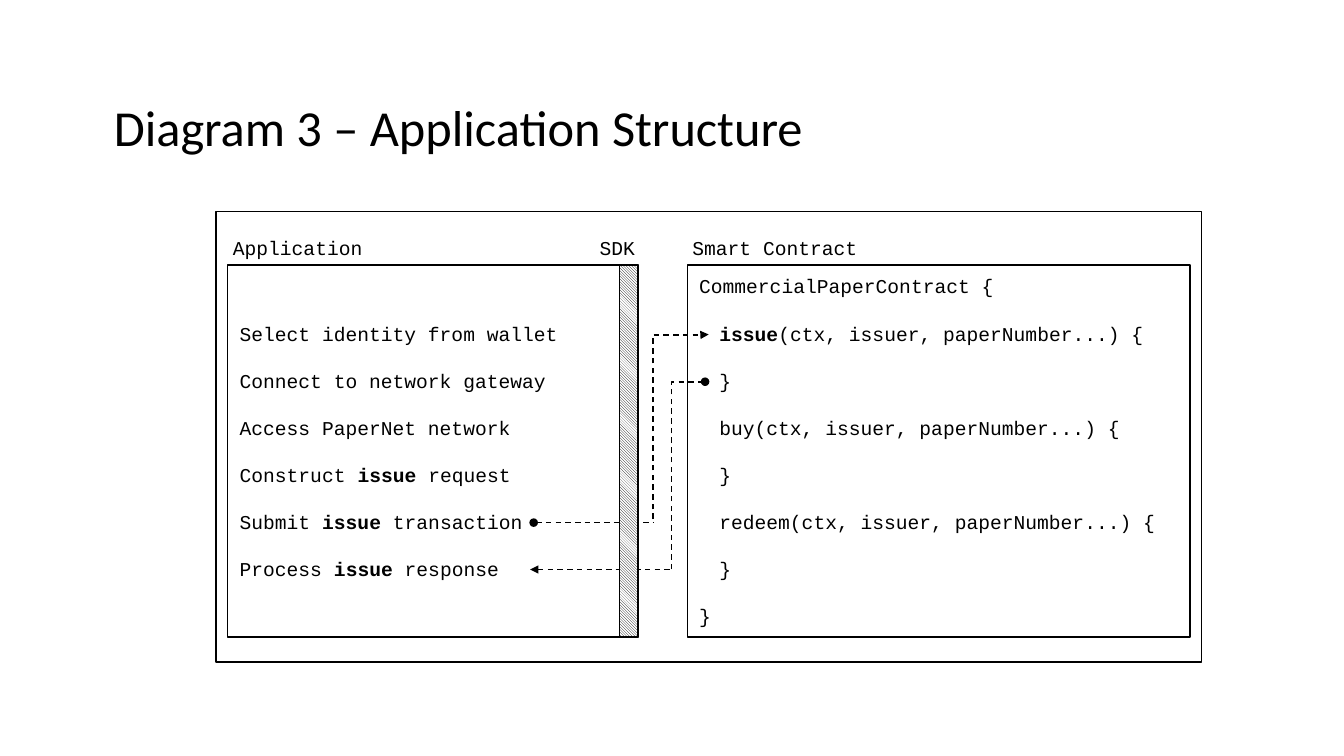
from dataclasses import dataclass
from typing import Optional

from lxml import etree
from pptx import Presentation
from pptx.dml.color import RGBColor
from pptx.enum import dml, shapes, text
from pptx.oxml.ns import qn
from pptx.util import Cm, Pt

COLOURS = {"ink": "000000", "paper": "FFFFFF"}
CODE_FONT = "Courier New"
INSET = 0.13
PANEL_INSET = 0.3
PANEL_TOP, PANEL_HEIGHT = 6.68, 9.37
LABEL_TOP, LABEL_HEIGHT = 5.82, 0.86
STEP_GAP = Pt(16.85)
METHOD_INDENT = 0.51


@dataclass(frozen=True)
class Line:
    """One line of a panel; the word in bold splits it into runs."""
    words: str
    bold: str = ""
    indent: float = 0


@dataclass(frozen=True)
class Panel:
    left: float
    width: float
    lines: tuple[Line, ...]


@dataclass(frozen=True)
class Label:
    words: str
    left: float
    width: float
    align: Optional[text.PP_ALIGN] = None


@dataclass(frozen=True)
class Link:
    """A dashed line; a bent one leaves its start upwards."""
    start: tuple[float, float]
    end: tuple[float, float]
    arrow: str = ""
    bend: str = ""
    adjust: int = 0


APPLICATION = Panel(5.74, 10.34, (
    Line("Select identity from wallet"),
    Line("Connect to network gateway"),
    Line("Access PaperNet network"),
    Line("Construct issue request", "issue "),
    Line("Submit issue transaction", "issue"),
    Line("Process issue response", "issue"),
))
CONTRACT = Panel(17.32, 12.67, (
    Line("CommercialPaperContract {"),
    *(line for method in ("issue", "buy", "redeem") for line in (
        Line(f"{method}(ctx, issuer, paperNumber...) {{",
             "issue" if method == "issue" else "", METHOD_INDENT),
        Line("}", indent=METHOD_INDENT))),
    Line("}"),
))
LABELS = (
    Label("Application", APPLICATION.left, 3.53),
    Label("Smart Contract", CONTRACT.left, 4.45),
    Label("SDK", 14.91, 1.3, text.PP_ALIGN.CENTER),
)
LINKS = (
    Link((16.46, 13.08), (17.86, 8.43), "tailEnd", "bentConnector3", 99800),
    Link((13.51, 13.16), (16.46, 13.16)),
    Link((16.92, 14.35), (17.68, 9.63), bend="bentConnector2"),
    Link((13.36, 14.35), (16.92, 14.35), "headEnd"),
)
DOT_SIZE = 0.18
DOTS = ((17.68, 9.53), (13.36, 13.08))


def colour(name: str) -> RGBColor:
    return RGBColor.from_string(COLOURS[name])


def draw_outline(line) -> None:
    line.color.rgb = colour("ink")
    line.width = Pt(1)


def add_outlined(slide, kind, left: float, top: float, width: float,
                 height: float, fill: str = ""):
    shape = slide.shapes.add_shape(kind, Cm(left), Cm(top), Cm(width), Cm(height))
    shape.shadow.inherit = False
    if fill:
        shape.fill.solid()
        shape.fill.fore_color.rgb = colour(fill)
    else:
        shape.fill.background()
    draw_outline(shape.line)
    return shape


def set_insets(frame, left: float = INSET) -> None:
    frame.margin_left = Cm(left)
    frame.margin_top = frame.margin_right = frame.margin_bottom = Cm(INSET)


def set_font(paragraph, name: str, size: int) -> None:
    paragraph.font.name = name
    paragraph.font.size = Pt(size)
    paragraph.font.color.rgb = colour("ink")


def add_panel(slide, panel: Panel) -> None:
    box = add_outlined(slide, shapes.MSO_SHAPE.RECTANGLE, panel.left, PANEL_TOP,
                       panel.width, PANEL_HEIGHT, "paper")
    frame = box.text_frame
    frame.word_wrap = True
    frame.vertical_anchor = text.MSO_ANCHOR.MIDDLE
    set_insets(frame, PANEL_INSET)
    for number, line in enumerate(panel.lines):
        paragraph = frame.add_paragraph() if number else frame.paragraphs[0]
        paragraph.alignment = text.PP_ALIGN.LEFT
        if number:
            paragraph.space_before = STEP_GAP
        if line.indent:
            paragraph._p.get_or_add_pPr().set("marL", str(Cm(line.indent)))
        set_font(paragraph, CODE_FONT, 14)
        before, bold, after = (line.words.partition(line.bold) if line.bold
                               else (line.words, "", ""))
        for words in filter(None, (before, bold, after)):
            run = paragraph.add_run()
            run.text = words
            if words == bold:
                run.font.bold = True


def add_label(slide, label: Label) -> None:
    box = slide.shapes.add_textbox(Cm(label.left), Cm(LABEL_TOP),
                                   Cm(label.width), Cm(LABEL_HEIGHT))
    frame = box.text_frame
    frame.word_wrap = False
    frame.auto_size = text.MSO_AUTO_SIZE.SHAPE_TO_FIT_TEXT
    set_insets(frame)
    paragraph = frame.paragraphs[0]
    paragraph.text = label.words
    paragraph.alignment = label.align
    set_font(paragraph, CODE_FONT, 14)


def add_link(slide, link: Link) -> None:
    (x1, y1), (x2, y2) = link.start, link.end
    kind = shapes.MSO_CONNECTOR.STRAIGHT
    if link.bend:
        # Swap the half sizes about the centre; the quarter turn restores them.
        kind = shapes.MSO_CONNECTOR.ELBOW
        mid_x, mid_y = (x1 + x2) / 2, (y1 + y2) / 2
        half_w, half_h = abs(y2 - y1) / 2, abs(x2 - x1) / 2
        x1, y1 = mid_x + half_w, mid_y + half_h
        x2, y2 = mid_x - half_w, mid_y - half_h
    connector = slide.shapes.add_connector(kind, Cm(x1), Cm(y1), Cm(x2), Cm(y2))
    properties = connector._element.spPr
    if link.bend:
        properties.find(qn("a:xfrm")).set("rot", "5400000")
        geometry = properties.find(qn("a:prstGeom"))
        geometry.set("prst", link.bend)
        if link.adjust:
            etree.SubElement(geometry.find(qn("a:avLst")), qn("a:gd"),
                             name="adj1", fmla=f"val {link.adjust}")
    draw_outline(connector.line)
    connector.line.dash_style = dml.MSO_LINE.DASH
    if link.arrow:
        etree.SubElement(properties.find(qn("a:ln")), qn(f"a:{link.arrow}"),
                         type="triangle")
    etree.SubElement(properties, qn("a:effectLst"))


def add_title(slide) -> None:
    box = slide.shapes.add_textbox(Cm(2.74), Cm(1.45), Cm(29.21), Cm(3.68))
    frame = box.text_frame
    frame.word_wrap = True
    frame.vertical_anchor = text.MSO_ANCHOR.MIDDLE
    set_insets(frame)
    title = frame.paragraphs[0]
    title.text = "Diagram 3 – Application Structure"
    title.line_spacing = 0.9
    set_font(title, "Calibri", 36)


def main() -> None:
    deck = Presentation()
    deck.slide_width, deck.slide_height = Cm(33.87), Cm(19.05)
    slide = deck.slides.add_slide(deck.slide_layouts[6])
    add_outlined(slide, shapes.MSO_SHAPE.RECTANGLE, 5.44, 5.33, 24.84, 11.35)
    add_title(slide)
    for panel in (APPLICATION, CONTRACT):
        add_panel(slide, panel)
    for link in LINKS:
        add_link(slide, link)
    for left, top in DOTS:
        add_outlined(slide, shapes.MSO_SHAPE.OVAL, left, top, DOT_SIZE, DOT_SIZE, "ink")
    sdk = add_outlined(slide, shapes.MSO_SHAPE.RECTANGLE, 15.62, PANEL_TOP, 0.46, PANEL_HEIGHT)
    sdk.fill.patterned()
    sdk.fill.pattern = dml.MSO_PATTERN.LIGHT_DOWNWARD_DIAGONAL
    sdk.fill.fore_color.rgb = colour("ink")
    sdk.fill.back_color.rgb = colour("paper")
    for label in LABELS:
        add_label(slide, label)
    deck.save("out.pptx")


if __name__ == "__main__":
    main()
